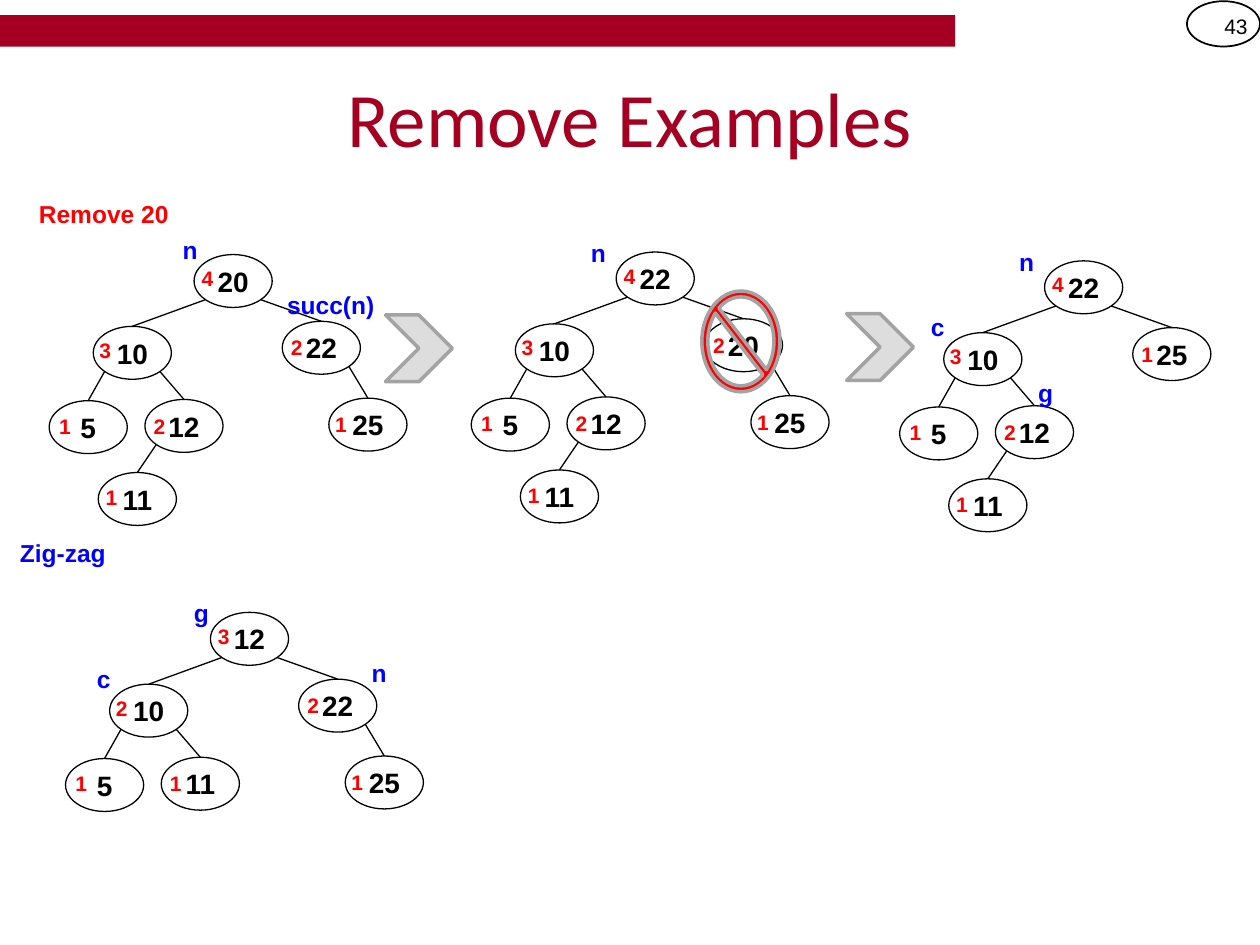
import pptx
import pptx.util
import pptx.dml.color
import pptx.enum.shapes
import pptx.enum.text
import pptx.oxml

COLORS = {"crimson": "A50021", "red": "FF0000", "blue": "0000FF", "black": "000000",
          "white": "FFFFFF", "silver": "DDDDDD", "gray": "A3A3A3"}
SHAPE = pptx.enum.shapes.MSO_SHAPE
ALIGN = pptx.enum.text.PP_ALIGN
MIDDLE = pptx.enum.text.MSO_ANCHOR.MIDDLE

# The slide is a grid of 100 columns and 75 rows of square cells.
COLUMNS, ROWS = 100, 75
CELL = pptx.util.Inches(0.1)
NODE_WIDTH, NODE_HEIGHT = 6.2, 4.2
CORNER = 0.146  # share of an ellipse's box cut off at its diagonal points

# slot: (column, row) from the root, parent, side, height label (column, row, width)
SLOTS = {
    "root": ((0, 0), None, None, (-1.3, 0.4, 3.8)),
    "right": ((7, 5.3), "root", "right", (-0.9, 0.6, 3.5)),
    "left": ((-8, 5.7), "root", "left", (-1.3, 0.4, 3.7)),
    "left_right": ((-3.9, 11.5), "left", "right", (-1, 0.6, 3.6)),
    "right_right": ((10.7, 11.4), "right", "right", (-0.6, 0.6, 3)),
    "left_left": ((-11.5, 11.6), "left", "left", (-1.9, 0.5, 4.6)),
    "leaf": ((-7.6, 17.3), "left_right", "left", (-1.2, 0.5, 3.7)),
}
LEFT_SUBTREE = {"left": (10, 3), "left_left": (5, 1), "left_right": (12, 2), "leaf": (11, 1)}

# Each tree: root position, {slot: (key, height)}, [(label, column, row, width)]
TREES = [
    ((15.4, 20.2),
     {"root": (20, 4), "right": (22, 2), "right_right": (25, 1), **LEFT_SUBTREE},
     [("n", -1.9, -2, 3.2), ("succ(n)", 6.4, 2.3, 10.3)]),
    ((48.9, 20),
     {"root": (22, 4), "right": (20, 2), "right_right": (25, 1), **LEFT_SUBTREE},
     [("n", -3, -1.6, 3.2)]),
    ((82.9, 20.7),
     {"root": (22, 4), "right": (25, 1), **LEFT_SUBTREE},
     [("n", -3, -1.6, 3.2), ("c", -10, 3.6, 3.2), ("g", -1.5, 8.8, 3.2)]),
    ((16.7, 48.6),
     {"root": (12, 3), "right": (22, 2), "right_right": (25, 1),
      "left": (10, 2), "left_left": (5, 1), "left_right": (11, 1)},
     [("n", 11.8, 3.1, 3.2), ("c", -10, 3.6, 3.2), ("g", -2.3, -1.6, 3.2)]),
]


def cells(*lengths):
    """Turn grid lengths into slide units."""
    return [round(length * CELL) for length in lengths]


def color(name):
    """Look up a palette colour."""
    return pptx.dml.color.RGBColor.from_string(COLORS[name])


def write(shape, text, size, color_name, bold=True, align=ALIGN.LEFT, font="Arial"):
    """Write one formatted run into a shape."""
    paragraph = shape.text_frame.paragraphs[0]
    paragraph.alignment = align
    run = paragraph.add_run()
    run.text = text
    run.font.name, run.font.bold = font, bold
    run.font.size = pptx.util.Pt(size)
    run.font.color.rgb = color(color_name)


def add_label(slide, text, box, size, color_name, **style):
    """Add a wrapping text box at a grid box."""
    label = slide.shapes.add_textbox(*cells(*box))
    label.text_frame.word_wrap = True
    write(label, text, size, color_name, **style)
    return label


def add_figure(slide, kind, box, fill=None, line=None, width=0.75):
    """Add a flat preset shape at a grid box."""
    shape = slide.shapes.add_shape(kind, *cells(*box))
    shape.shadow.inherit = False
    if fill:
        shape.fill.solid()
        shape.fill.fore_color.rgb = color(fill)
    else:
        shape.fill.background()
    if line:
        shape.line.color.rgb = color(line)
        shape.line.width = pptx.util.Pt(width)
    else:
        shape.line.fill.background()
    return shape


def add_edge(slide, parent, child, side):
    """Join a parent's lower diagonal point to the top of its child."""
    share = CORNER if side == "left" else 1 - CORNER
    start = parent[0] + share * NODE_WIDTH, parent[1] + (1 - CORNER) * NODE_HEIGHT
    end = child[0] + NODE_WIDTH / 2, child[1]
    straight = pptx.enum.shapes.MSO_CONNECTOR.STRAIGHT
    edge = slide.shapes.add_connector(straight, *cells(*start, *end))
    edge.line.color.rgb = color("black")
    edge.line.width = pptx.util.Pt(0.75)
    edge._element.spPr.append(pptx.oxml.parse_xml(
        '<a:effectLst xmlns:a="http://schemas.openxmlformats.org/drawingml/2006/main"/>'))


def add_node(slide, position, key, fill):
    """Add an ellipse that holds a key."""
    node = add_figure(slide, SHAPE.OVAL, (*position, NODE_WIDTH, NODE_HEIGHT), fill, "black")
    frame = node.text_frame
    frame.margin_left = frame.margin_right = 0
    frame.vertical_anchor = MIDDLE
    write(node, str(key), 16, "black", align=ALIGN.CENTER)


def add_tree(slide, origin, nodes, labels):
    """Draw a binary tree with heights and labels from its root position."""
    column, row = origin
    places = {slot: (column + SLOTS[slot][0][0], row + SLOTS[slot][0][1]) for slot in nodes}
    for slot, (key, height) in nodes.items():
        _, parent, side, (shift, drop, width) = SLOTS[slot]
        left, top = places[slot]
        add_node(slide, (left, top), key, "white" if parent else None)
        if parent:
            add_edge(slide, places[parent], (left, top), side)
        add_label(slide, str(height), (left + shift, top + drop, width, 3), 12, "red",
                  align=ALIGN.RIGHT)
    for text, shift, drop, width in labels:
        add_label(slide, text, (column + shift, row + drop, width, 3.4), 14, "blue")


def add_header(slide):
    """Place the top bar, page number and title."""
    add_figure(slide, SHAPE.RECTANGLE, (0, 1.2, 75.8, 2.5), "crimson")
    add_figure(slide, SHAPE.OVAL, (94.2, 0.1, 5.8, 3.6), None, "black", 1)
    number = add_label(slide, "43", (94.2, 0.1, 5.8, 4), 12, "black", bold=False,
                       align=ALIGN.RIGHT)
    number.text_frame.vertical_anchor = MIDDLE
    title = slide.shapes.title
    title.left, title.top, title.width, title.height = cells(5, 3, 90, 12.5)
    title.text_frame.vertical_anchor = MIDDLE
    write(title, "Remove Examples", 44, "crimson", False, ALIGN.CENTER, "Calibri")


def add_steps(slide):
    """Draw the trees, the arrows between them and the removal mark."""
    add_label(slide, "Remove 20", (2.1, 15.3, 13.1, 3.4), 14, "red")
    add_label(slide, "Zig-zag", (0.6, 42.2, 28.6, 3.4), 14, "blue")
    for tree in TREES:
        add_tree(slide, *tree)
    for left, top in ((30.6, 25), (67.2, 24.9)):
        add_figure(slide, SHAPE.CHEVRON, (left, top, 5.3, 5.3), "silver", "gray", 2)
    mark = add_figure(slide, SHAPE.NO_SYMBOL, (55.7, 23.1, 6.2, 8), "red", "gray", 2)
    mark.adjustments[0] = 0.076


presentation = pptx.Presentation()
presentation.slide_width, presentation.slide_height = cells(COLUMNS, ROWS)
title_only = presentation.slide_layouts[5]
slide = presentation.slides.add_slide(title_only)
add_header(slide)
add_steps(slide)
presentation.save("out.pptx")
